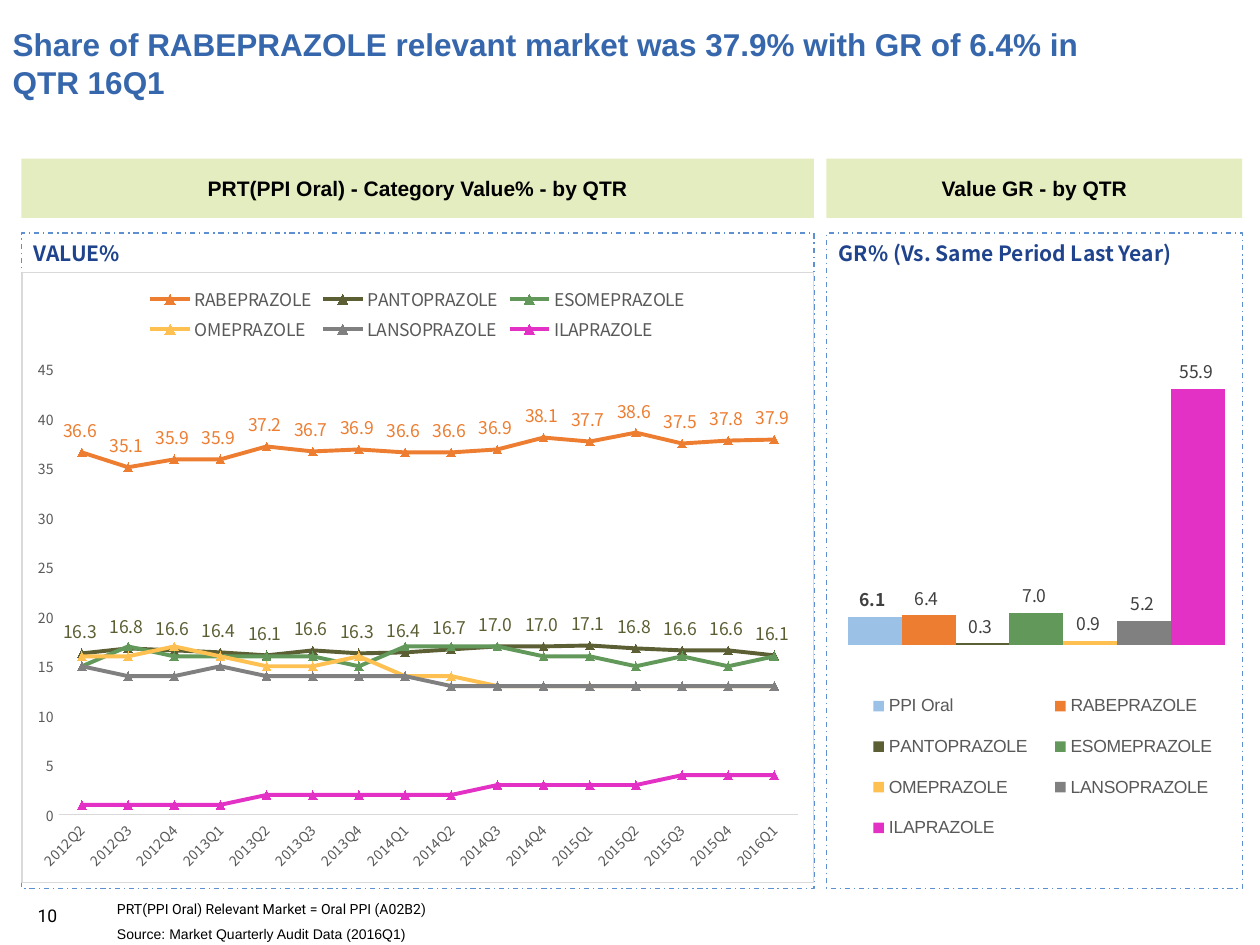
from lxml import etree
from pptx import Presentation
from pptx.chart.data import CategoryChartData
from pptx.dml.color import RGBColor
from pptx.enum.chart import XL_CHART_TYPE, XL_LABEL_POSITION, XL_LEGEND_POSITION, XL_MARKER_STYLE, XL_TICK_MARK
from pptx.enum.dml import MSO_LINE
from pptx.enum.shapes import MSO_SHAPE
from pptx.enum.text import MSO_ANCHOR, PP_ALIGN
from pptx.oxml import parse_xml
from pptx.oxml.ns import nsdecls, qn
from pptx.util import Inches, Pt

COLORS = {
    "title": "3667AC", "heading": "1F448D", "band": "BDD262", "frame": "5D8FD1",
    "text": "000000", "legend": "595959", "label": "404040", "rule": "D9D9D9",
    "PPI Oral": "9BC2E6", "RABEPRAZOLE": "ED7D31", "PANTOPRAZOLE": "5C5F33",
    "ESOMEPRAZOLE": "62995B", "OMEPRAZOLE": "FDC051", "LANSOPRAZOLE": "808080",
    "ILAPRAZOLE": "E331C5",
}
CJK = "Noto Sans CJK SC"


def set_font(font, color, **formats):
    for name, value in formats.items():
        setattr(font, name, Pt(value) if name == "size" else value)
    font.color.rgb = RGBColor.from_string(COLORS[color])


def set_layout(element, index, x, y, w, h, target=""):
    """Give a chart part a fixed place, as shares of the chart."""
    for old in element.findall(qn("c:layout")):
        element.remove(old)
    sizes = "".join(f'<c:{key} val="{value}"/>' for key, value in zip("xywh", (x, y, w, h)))
    element.insert(index, parse_xml(
        f'<c:layout {nsdecls("c")}><c:manualLayout>{target}<c:xMode val="edge"/>'
        f'<c:yMode val="edge"/>{sizes}</c:manualLayout></c:layout>'))


presentation = Presentation()
presentation.slide_width, presentation.slide_height = Inches(10), Inches(7.5)
slide = presentation.slides.add_slide(presentation.slide_layouts[5])

# Grid: two columns, each with a header band, a framed panel and a chart
columns = [(0.17, 6.29), (6.56, 3.3)]
band_top, band_height = 1.26, 0.47
panel_top, panel_height = 1.85, 5.2
chart_top, chart_height = 2.16, 4.85

# Title
title = slide.shapes.title
title.left, title.top, title.width, title.height = 0, 0, Inches(8.91), Inches(1)
title.text_frame.text = "Share of RABEPRAZOLE relevant market was 37.9% with GR of 6.4% in QTR 16Q1"
title.text_frame.vertical_anchor = MSO_ANCHOR.MIDDLE
title.text_frame.paragraphs[0].alignment = PP_ALIGN.LEFT
set_font(title.text_frame.paragraphs[0].font, "title", size=18, name="Arial", bold=True)

# Header bands and dashed panel frames
headers = ["PRT(PPI Oral) - Category Value% - by QTR", "Value GR - by QTR"]
for (left, width), header in zip(columns, headers):
    band = slide.shapes.add_shape(MSO_SHAPE.RECTANGLE, Inches(left), Inches(band_top),
                                  Inches(width), Inches(band_height))
    band.shadow.inherit = False
    band.fill.solid()
    band.fill.fore_color.rgb = RGBColor.from_string(COLORS["band"])
    color = band.fill._xPr.find(".//" + qn("a:srgbClr"))
    etree.SubElement(color, qn("a:alpha"), val="40000")
    band.line.fill.background()
    band.text_frame.text = header
    band.text_frame.vertical_anchor = MSO_ANCHOR.MIDDLE
    band.text_frame.paragraphs[0].alignment = PP_ALIGN.CENTER
    set_font(band.text_frame.paragraphs[0].font, "text", size=12, name="Arial", bold=True)

    frame = slide.shapes.add_shape(MSO_SHAPE.RECTANGLE, Inches(left), Inches(panel_top),
                                   Inches(width), Inches(panel_height))
    frame.shadow.inherit = False
    frame.fill.background()
    frame.line.color.rgb = RGBColor.from_string(COLORS["frame"])
    frame.line.width = Pt(0.75)
    frame.line.dash_style = MSO_LINE.DASH_DOT

# Panel headings, slide number and footnotes
heading = {"size": 12, "name": CJK, "bold": True}
texts = [
    ("VALUE%", columns[0][0], 1.86, 1.62, 0.3, MSO_ANCHOR.TOP, "heading", heading),
    ("GR% (Vs. Same Period Last Year)", columns[1][0], 1.86, 3.3, 0.3, MSO_ANCHOR.TOP, "heading", heading),
    ("10", 0.2, 7.13, 0.63, 0.27, MSO_ANCHOR.MIDDLE, "text", {"size": 10, "name": "Roboto"}),
    ("PRT(PPI Oral) Relevant Market = Oral PPI (A02B2)", 0.83, 7.12, 8.32, 0.18,
     MSO_ANCHOR.MIDDLE, "text", {"size": 8, "name": "Roboto"}),
    ("Source: Market Quarterly Audit Data (2016Q1)", 0.83, 7.3, 8.32, 0.24,
     MSO_ANCHOR.TOP, "text", {"size": 8, "name": "Arial"}),
]
for text, left, top, width, height, anchor, color, formats in texts:
    box = slide.shapes.add_textbox(Inches(left), Inches(top), Inches(width), Inches(height))
    box.text_frame.word_wrap = True
    box.text_frame.vertical_anchor = anchor
    box.text_frame.text = text
    set_font(box.text_frame.paragraphs[0].font, color, **formats)

# Chart data
quarters = [f"{year}Q{quarter}" for year in range(2012, 2017) for quarter in range(1, 5)][1:17]
shares = CategoryChartData()
shares.categories = quarters
for name, values in {
    "RABEPRAZOLE": [36.6, 35.1, 35.9, 35.9, 37.2, 36.7, 36.9, 36.6, 36.6, 36.9, 38.1, 37.7, 38.6, 37.5, 37.8, 37.9],
    "PANTOPRAZOLE": [16.3, 16.8, 16.6, 16.4, 16.1, 16.6, 16.3, 16.4, 16.7, 17, 17, 17.1, 16.8, 16.6, 16.6, 16.1],
    "ESOMEPRAZOLE": [15, 17, 16, 16, 16, 16, 15, 17, 17, 17, 16, 16, 15, 16, 15, 16],
    "OMEPRAZOLE": [16, 16, 17, 16, 15, 15, 16, 14, 14, 13, 13, 13, 13, 13, 13, 13],
    "LANSOPRAZOLE": [15, 14, 14, 15, 14, 14, 14, 14, 13, 13, 13, 13, 13, 13, 13, 13],
    "ILAPRAZOLE": [1, 1, 1, 1, 2, 2, 2, 2, 2, 3, 3, 3, 3, 4, 4, 4],
}.items():
    shares.add_series(name, values)

growth = CategoryChartData()
growth.categories = ["1"]
for name, value in {"PPI Oral": 6.1, "RABEPRAZOLE": 6.4, "PANTOPRAZOLE": 0.3, "ESOMEPRAZOLE": 7,
                    "OMEPRAZOLE": 0.9, "LANSOPRAZOLE": 5.2, "ILAPRAZOLE": 55.9}.items():
    growth.add_series(name, [value])

# Charts: what both share
charts = []
for (left, width), kind, data, maximum, legend_place, legend_font in [
    (columns[0], XL_CHART_TYPE.LINE_MARKERS, shares, 45, XL_LEGEND_POSITION.TOP, CJK),
    (columns[1], XL_CHART_TYPE.COLUMN_CLUSTERED, growth, 60, XL_LEGEND_POSITION.BOTTOM, "Arial"),
]:
    chart = slide.shapes.add_chart(kind, Inches(left), Inches(chart_top), Inches(width),
                                   Inches(chart_height), data).chart
    set_font(chart.font, "text", size=10, name=CJK)
    chart.has_title = False
    chart.has_legend = True
    chart.legend.position = legend_place
    chart.legend.include_in_layout = False
    set_font(chart.legend.font, "legend", size=10, name=legend_font)
    chart.plots[0].vary_by_categories = False
    chart.value_axis.has_major_gridlines = False
    chart.value_axis.minimum_scale, chart.value_axis.maximum_scale = 0, maximum
    is_line = kind == XL_CHART_TYPE.LINE_MARKERS
    for series in chart.plots[0].series:
        rgb = RGBColor.from_string(COLORS[series.name])
        if is_line:
            series.smooth = False
            series.format.line.color.rgb = rgb
            series.format.line.width = Pt(2.25)
            series.marker.style, series.marker.size = XL_MARKER_STYLE.TRIANGLE, 5
            series.marker.format.fill.solid()
            series.marker.format.fill.fore_color.rgb = rgb
            series.marker.format.line.color.rgb = rgb
        else:
            series.format.fill.solid()
            series.format.fill.fore_color.rgb = rgb
        if not is_line or series.name in ("RABEPRAZOLE", "PANTOPRAZOLE"):
            labels = series.data_labels
            labels.show_value = True
            labels.number_format, labels.number_format_is_linked = "#,##0.0_ ", False
            labels.position = XL_LABEL_POSITION.ABOVE if is_line else XL_LABEL_POSITION.OUTSIDE_END
            set_font(labels.font, series.name if is_line else "label", size=10, name=CJK,
                     bold=series.name == "PPI Oral")
    charts.append(chart)
line_chart, column_chart = charts

# Line chart: axes and border
for axis in (line_chart.category_axis, line_chart.value_axis):
    axis.major_tick_mark = axis.minor_tick_mark = XL_TICK_MARK.NONE
    set_font(axis.tick_labels.font, "legend", size=8, name=CJK)
axis = line_chart.category_axis
axis.format.line.color.rgb = RGBColor.from_string(COLORS["rule"])
axis.format.line.width = Pt(0.75)
axis._element.find(qn("c:txPr")).find(qn("a:bodyPr")).set("rot", "-2700000")
axis = line_chart.value_axis
axis.format.line.fill.background()
axis.major_unit = 5
axis.tick_labels.number_format, axis.tick_labels.number_format_is_linked = "#,##0", False
line_chart._chartSpace.find(qn("c:chart")).addnext(parse_xml(
    f'<c:spPr {nsdecls("c", "a")}><a:noFill/><a:ln w="9525"><a:solidFill>'
    f'<a:srgbClr val="{COLORS["rule"]}"/></a:solidFill></a:ln></c:spPr>'))

# Column chart: touching columns, hidden axes, fixed plot and legend
column_chart.plots[0].gap_width, column_chart.plots[0].overlap = 1, 0
column_chart.category_axis.visible = column_chart.value_axis.visible = False
set_layout(column_chart._chartSpace.find(".//" + qn("c:plotArea")), 0, 0.05, 0.16, 0.91, 0.45,
           '<c:layoutTarget val="inner"/>')
set_layout(column_chart.legend._element, 1, 0.06, 0.66, 0.92, 0.3)

presentation.save("out.pptx")
